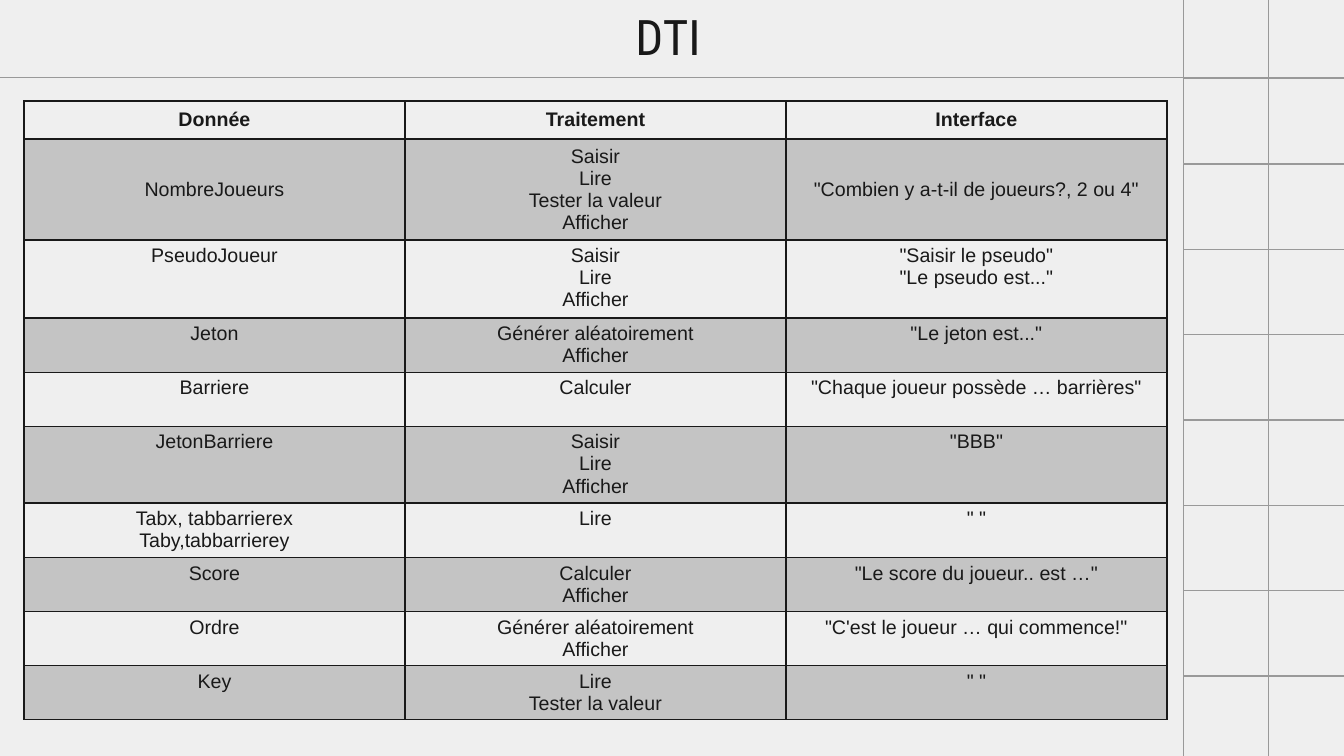
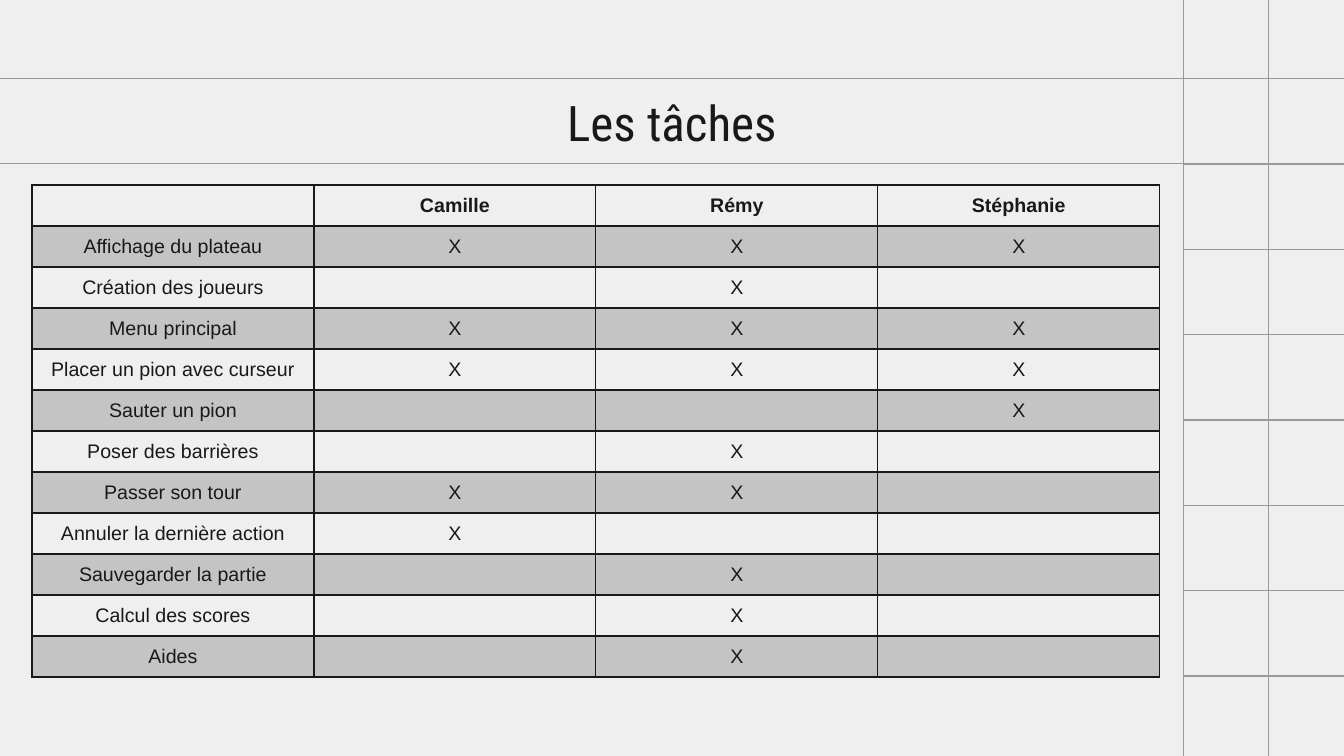
from itertools import product

from lxml.etree import SubElement
from pptx import Presentation
from pptx.dml.color import RGBColor
from pptx.enum.shapes import MSO_SHAPE
from pptx.enum.text import MSO_ANCHOR, PP_ALIGN
from pptx.oxml import parse_xml
from pptx.oxml.ns import nsdecls, qn
from pptx.util import Pt

PAPER = RGBColor(0xEF, 0xEF, 0xEF)
INK = RGBColor(0x19, 0x19, 0x19)
RULE = RGBColor(0x99, 0x99, 0x99)

WIDTH, HEIGHT = 1344, 756
EMU_PER_PX = 12192000 / WIDTH
TILE = 85
GRID_LEFT, GRID_TOP, GRID_HEIGHT = 1184, -6, 768
GRID_ROWS, GRID_COLS = 9, 2

DTI_HEADER = ["Donnée", "Traitement", "Interface"]
DTI_ROWS = [
    (101, "NombreJoueurs", "Saisir\nLire\nTester la valeur\nAfficher",
     '"Combien y a-t-il de joueurs?, 2 ou 4"'),
    (78, "PseudoJoueur", "Saisir\nLire\nAfficher",
     '"Saisir le pseudo"\n"Le pseudo est..."'),
    (54, "Jeton", "Générer aléatoirement\nAfficher", '"Le jeton est..."'),
    (54, "Barriere", "Calculer", '"Chaque joueur possède … barrières"'),
    (77, "JetonBarriere", "Saisir\nLire\nAfficher", '"BBB"'),
    (54, "Tabx, tabbarrierex\nTaby,tabbarrierey", "Lire", '" "'),
    (54, "Score", "Calculer\nAfficher", '"Le score du joueur.. est …"'),
    (54, "Ordre", "Générer aléatoirement\nAfficher",
     '"C\'est le joueur … qui commence!"'),
    (54, "Key", "Lire\nTester la valeur", '" "'),
]

MEMBERS = ["Camille", "Rémy", "Stéphanie"]
TASKS = [
    ("Affichage du plateau", "CRS"),
    ("Création des joueurs", "R"),
    ("Menu principal", "CRS"),
    ("Placer un pion avec curseur", "CRS"),
    ("Sauter un pion", "S"),
    ("Poser des barrières", "R"),
    ("Passer son tour", "CR"),
    ("Annuler la dernière action", "C"),
    ("Sauvegarder la partie", "R"),
    ("Calcul des scores", "R"),
    ("Aides", "R"),
]


def px(n):
    return round(n * EMU_PER_PX)


class Deck:
    def __init__(self):
        self.prs = Presentation()
        self.prs.slide_width = px(WIDTH)
        self.prs.slide_height = px(HEIGHT)
        self.slide = None

    def add_slide(self):
        self.slide = self.prs.slides.add_slide(self.prs.slide_layouts[6])
        fill = self.slide.background.fill
        fill.solid()
        fill.fore_color.rgb = PAPER
        edges = [GRID_TOP + GRID_HEIGHT * i // GRID_ROWS
                 for i in range(GRID_ROWS + 1)]
        for row, col in product(range(GRID_ROWS), range(GRID_COLS)):
            sp = self.box(GRID_LEFT + col * TILE, edges[row],
                          TILE, edges[row + 1] - edges[row])
            sp.fill.solid()
            sp.fill.fore_color.rgb = PAPER

    def box(self, x, y, w, h):
        sp = self.slide.shapes.add_shape(
            MSO_SHAPE.RECTANGLE, px(x), px(y), px(w), px(h))
        sp.shadow.inherit = False
        sp.fill.background()
        sp.line.color.rgb = RULE
        sp.line.width = Pt(0.75)
        return sp

    def set_text(self, tf, text, font, size, bold=False):
        tf.text = text
        for p in tf.paragraphs:
            p.alignment = PP_ALIGN.CENTER
            for r in p.runs:
                r.font.name = font
                r.font.size = Pt(size)
                r.font.bold = bold
                r.font.color.rgb = INK

    def title(self, text, x, y):
        sp = self.box(x, y, 1376, TILE)
        tf = sp.text_frame
        tf.word_wrap = True
        tf.vertical_anchor = MSO_ANCHOR.MIDDLE
        self.set_text(tf, text, "Roboto Condensed", 35)

    def borders(self, cell, top, bottom):
        tc_pr = cell._tc.get_or_add_tcPr()
        sides = [("lnL", 1), ("lnR", 1), ("lnT", top), ("lnB", bottom)]
        for i, (tag, width) in enumerate(sides):
            tc_pr.insert(i, parse_xml(
                f'<a:{tag} {nsdecls("a")} w="{Pt(width)}"><a:solidFill>'
                f'<a:srgbClr val="{INK}"/></a:solidFill></a:{tag}>'))

    def shade(self, cell):
        cell.fill.solid()
        cell.fill.fore_color.rgb = INK
        color = cell._tc.tcPr.find(f'{qn("a:solidFill")}/{qn("a:srgbClr")}')
        SubElement(color, qn("a:alpha"), val="20000")

    def table(self, x, y, col_width, heights, rows, middle_rows):
        cols = len(rows[0])
        frame = self.slide.shapes.add_table(
            len(rows), cols, px(x), px(y),
            px(col_width * cols), px(sum(heights)))
        tbl = frame.table
        tbl.first_row = False
        tbl.horz_banding = False
        for col in tbl.columns:
            col.width = px(col_width)
        for i, (height, texts) in enumerate(zip(heights, rows)):
            tbl.rows[i].height = px(height)
            for j, text in enumerate(texts):
                cell = tbl.cell(i, j)
                self.set_text(cell.text_frame, text, "Arial", 14, bold=i == 0)
                cell.vertical_anchor = (
                    MSO_ANCHOR.MIDDLE if i < middle_rows else MSO_ANCHOR.TOP)
                if i % 2:
                    self.shade(cell)
                else:
                    cell.fill.background()
                self.borders(cell, 2 if i == 1 else 1, 2 if i == 0 else 1)


def main():
    deck = Deck()

    deck.add_slide()
    deck.title("DTI", -20, -7)
    heights = [38] + [height for height, *_ in DTI_ROWS]
    rows = [DTI_HEADER] + [texts for _, *texts in DTI_ROWS]
    deck.table(24, 101, 381, heights, rows, middle_rows=2)

    deck.add_slide()
    deck.title("Les tâches", -16, 79)
    rows = [["", *MEMBERS]]
    for task, initials in TASKS:
        rows.append([task] + ["X" if name[0] in initials else ""
                              for name in MEMBERS])
    deck.table(32, 185, 282, [41] * len(rows), rows, middle_rows=len(rows))

    deck.prs.save("out.pptx")


if __name__ == "__main__":
    main()
